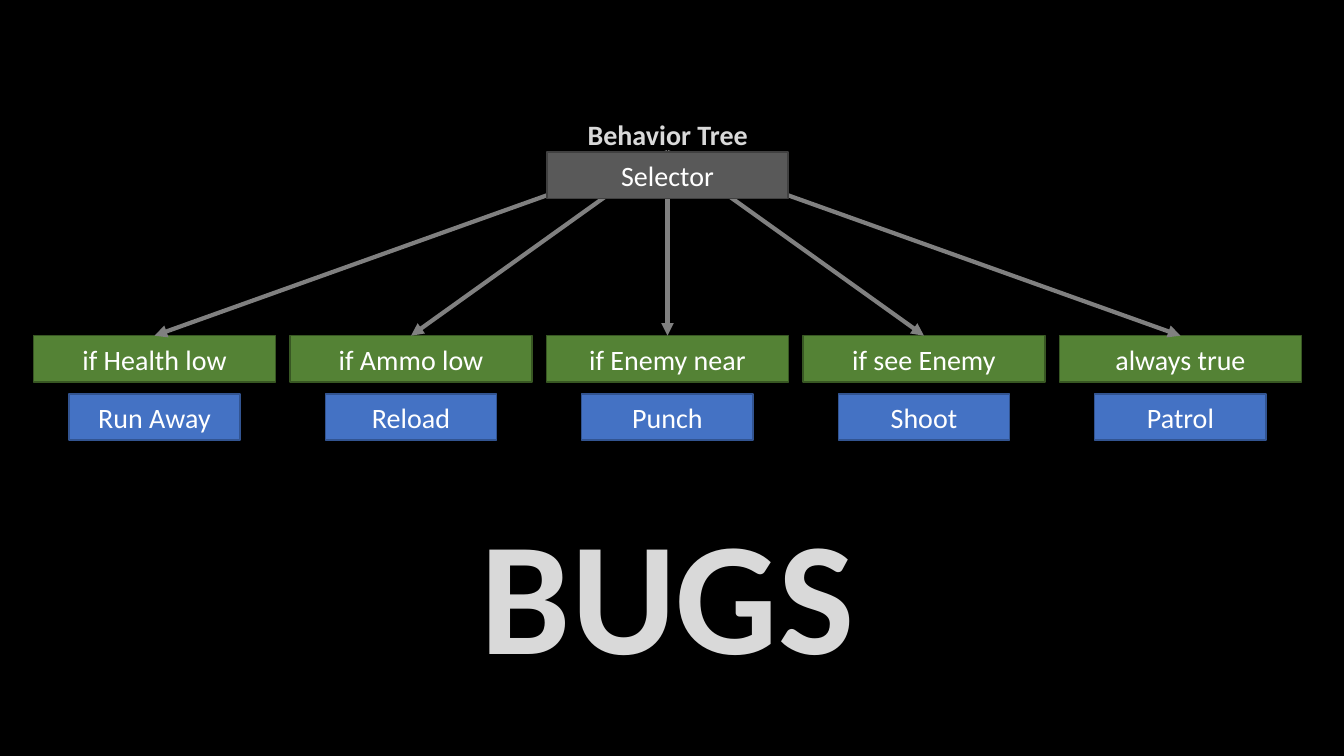
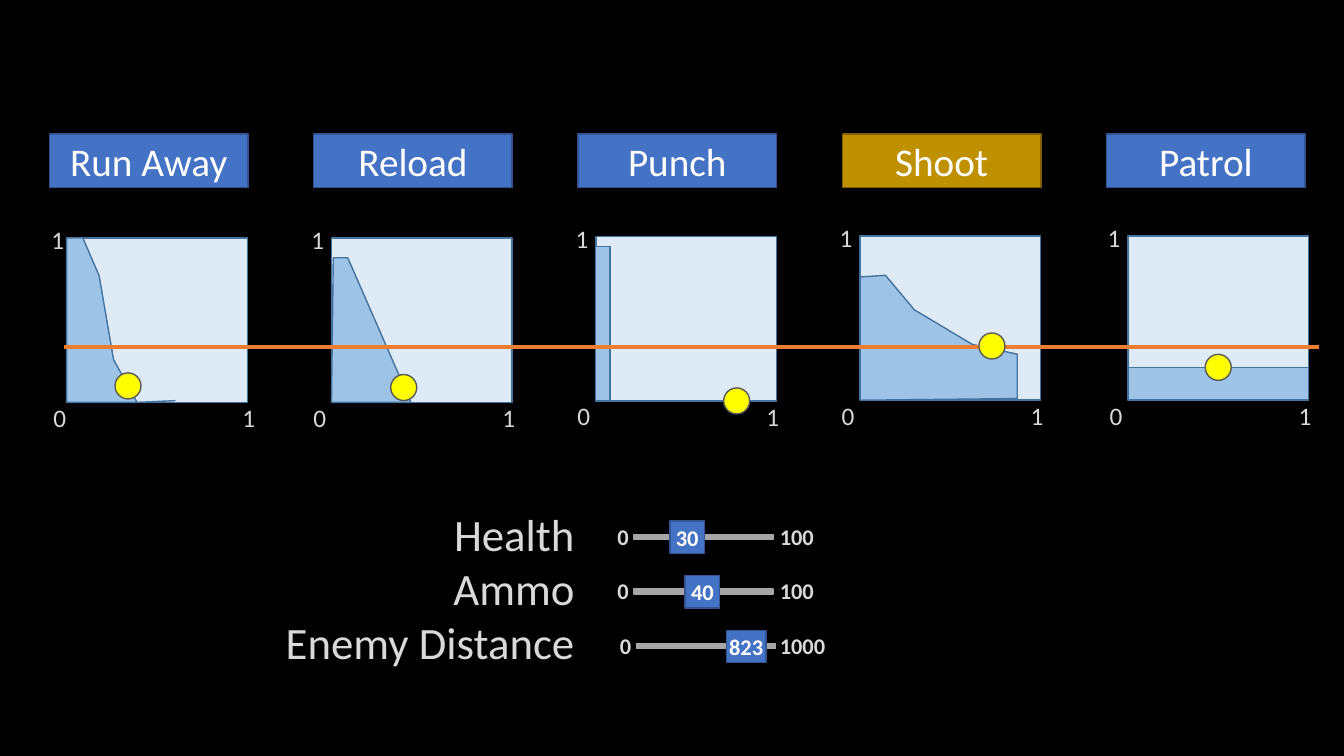
from lxml import etree
from pptx import Presentation
from pptx.dml.color import RGBColor
from pptx.enum.shapes import MSO_CONNECTOR, MSO_SHAPE
from pptx.enum.text import MSO_ANCHOR, MSO_AUTO_SIZE, PP_ALIGN
from pptx.oxml.ns import qn
from pptx.util import Pt

RECTANGLE, OVAL = MSO_SHAPE.RECTANGLE, MSO_SHAPE.OVAL
STRAIGHT = MSO_CONNECTOR.STRAIGHT
LEFT, CENTER, RIGHT = PP_ALIGN.LEFT, PP_ALIGN.CENTER, PP_ALIGN.RIGHT
TOP, MIDDLE = MSO_ANCHOR.TOP, MSO_ANCHOR.MIDDLE
TITLE_ONLY, BLANK = 5, 6

FONT = "Calibri"
BLACK, WHITE, LIGHT = "000000", "FFFFFF", "D9D9D9"
# Fill and outline pairs
ACTION = ("4472C4", "325491")
CHOSEN = ("BF9000", "806000")
CONDITION = ("548235", "385723")
SELECTOR = ("595959", "404040")
PLOT = ("DEEBF7", "43739E")
CURVE = ("9DC3E6", "43739E")
DOT = ("FFFF00", "595959")
TRACK = ("A6A6A6", "A6A6A6")
ARROW, THRESHOLD = "808080", "ED7D31"

ACTIONS = ["Run Away", "Reload", "Punch", "Shoot", "Patrol"]


def color(value):
    return RGBColor.from_string(value)


def write(frame, text, size=20, ink=WHITE, bold=False, align=CENTER,
          anchor=MIDDLE, wrap=True, margin=None):
    """Fill a text frame, one paragraph per line of text."""
    frame.auto_size = MSO_AUTO_SIZE.NONE
    frame.word_wrap = wrap
    frame.vertical_anchor = anchor
    if margin is not None:
        frame.margin_left = frame.margin_right = Pt(margin)
        frame.margin_top = frame.margin_bottom = Pt(margin)
    frame.text = text
    for paragraph in frame.paragraphs:
        paragraph.alignment = align
        font = paragraph.font
        font.name, font.size, font.bold = FONT, Pt(size), bold
        font.color.rgb = color(ink)


class Deck:
    def __init__(self):
        self.presentation = Presentation()
        self.presentation.slide_width = Pt(960)
        self.presentation.slide_height = Pt(540)
        self.slide = None

    def add_slide(self, layout):
        layouts = self.presentation.slide_layouts
        self.slide = self.presentation.slides.add_slide(layouts[layout])
        background = self.slide.background.fill
        background.solid()
        background.fore_color.rgb = color(BLACK)

    def paint(self, shape, style):
        fill, outline = style
        shape.shadow.inherit = False
        shape.fill.solid()
        shape.fill.fore_color.rgb = color(fill)
        shape.line.color.rgb = color(outline)
        shape.line.width = Pt(1)
        return shape

    def title(self, text, x, y, width, height, **style):
        shape = self.slide.shapes.title
        shape.left, shape.top = Pt(x), Pt(y)
        shape.width, shape.height = Pt(width), Pt(height)
        write(shape.text_frame, text, anchor=TOP, **style)

    def box(self, x, y, width, height, style, text="", kind=RECTANGLE, **text_style):
        shape = self.slide.shapes.add_shape(kind, Pt(x), Pt(y), Pt(width), Pt(height))
        if text:
            write(shape.text_frame, text, **text_style)
        return self.paint(shape, style)

    def label(self, text, x, y, width, height, **style):
        shape = self.slide.shapes.add_textbox(Pt(x), Pt(y), Pt(width), Pt(height))
        write(shape.text_frame, text, ink=LIGHT, anchor=TOP, **style)

    def outline(self, points, style):
        points = [(Pt(x), Pt(y)) for x, y in points]
        builder = self.slide.shapes.build_freeform(*points[0])
        builder.add_line_segments(points[1:], close=True)
        self.paint(builder.convert_to_shape(), style)

    def line(self, x1, y1, x2, y2, ink):
        connector = self.slide.shapes.add_connector(
            STRAIGHT, Pt(x1), Pt(y1), Pt(x2), Pt(y2))
        connector.line.color.rgb = color(ink)
        connector.line.width = Pt(3)
        etree.SubElement(connector._element.spPr, qn("a:effectLst"))
        return connector

    def arrow(self, start, end, ink):
        """Arrow from the top middle of one shape to that of another."""
        connector = self.line(0, 0, 0, 0, ink)
        connector.begin_connect(start, 0)
        connector.end_connect(end, 0)
        line = connector.line._get_or_add_ln()
        etree.SubElement(line, qn("a:tailEnd"), type="triangle")

    def bring_to_front(self, shape):
        self.slide.shapes._spTree.append(shape._element)


def behavior_tree(deck):
    deck.add_slide(TITLE_ONLY)
    deck.title("Behavior Tree", 344, 80, 266, 32, ink=LIGHT, bold=True)
    selector = deck.box(390.8, 108.7, 172, 33, SELECTOR, "Selector")

    # Branches: a condition with its action below
    conditions = ["if Health low", "if Ammo low", "if Enemy near",
                  "if see Enemy", "always true"]
    for index, (condition, action) in enumerate(zip(conditions, ACTIONS)):
        x = 24 + 183.2 * index
        branch = deck.box(x, 239.8, 172.8, 33, CONDITION, condition)
        deck.box(x + 25.2, 281.4, 122.4, 33, ACTION, action)
        deck.arrow(selector, branch, ARROW)
    deck.bring_to_front(selector)

    deck.label("BUGS", 334.8, 349.2, 284.4, 147, size=115, bold=True, wrap=False)


def utility_scores(deck):
    deck.add_slide(BLANK)
    plot_width, plot_height = 129, 117.4

    # Per action: plot left and top, labels left, score curve, current point.
    # Curve points and current points run from 0 to 1 on both axes.
    plots = [
        (47.6, 170, 31, [(0, 0), (0, 1), (0.09, 1), (0.18, 0.77), (0.26, 0.26),
                         (0.39, 0), (0.6, 0.01), (0.39, 0)], (0.34, 0.1)),
        (236.8, 170, 216.7, [(0, 0), (0.01, 0.88), (0.09, 0.88), (0.44, 0)],
         (0.4, 0.09)),
        (425.6, 169, 405.4, (0.08, 0.94), (0.78, 0)),
        (614.4, 168.5, 594, [(0, 0), (0, 0.75), (0.14, 0.76), (0.3, 0.55),
                             (0.62, 0.34), (0.87, 0.28), (0.87, 0.01)],
         (0.73, 0.33)),
        (805.7, 168.5, 785.5, (1, 0.2), (0.5, 0.2)),
    ]

    def place(left, top, point):
        return left + point[0] * plot_width, top + (1 - point[1]) * plot_height

    for index, (left, top, label_x, curve, _) in enumerate(plots):
        action = ACTIONS[index]
        deck.box(35.3 + 188.8 * index, 95.8, 141.8, 38.2,
                 CHOSEN if action == "Shoot" else ACTION, action, size=28)
        deck.box(left, top, plot_width, plot_height, PLOT)
        if isinstance(curve, list):
            deck.outline([place(left, top, point) for point in curve], CURVE)
        else:
            _, curve_top = place(left, top, curve)
            deck.box(left, curve_top, curve[0] * plot_width,
                     curve[1] * plot_height, CURVE)
        for text, dx, dy in [("1", -1.4, -13.2), ("0", 0, 113.6), ("1", 135, 114)]:
            deck.label(text, label_x + dx, top + dy, 24, 29, size=18,
                       align=LEFT, wrap=False)

    # Winning score and current points
    deck.line(942.5, 247.6, 46, 247.6, THRESHOLD)
    for left, top, _, _, point in plots:
        x, y = place(left, top, point)
        deck.box(x - 9.3, y - 9.3, 18.6, 18.6, DOT, kind=OVAL)

    # Inputs: track left, knob left and width, value, maximum
    deck.label("Health\nAmmo\nEnemy Distance", 194.4, 358.6, 223.2, 124,
               size=32, align=RIGHT, wrap=False)
    sliders = [(452.8, 478.6, 24.6, "30", "100"),
               (452.8, 489.4, 24.6, "40", "100"),
               (454.6, 518.8, 28.4, "823", "1000")]
    for index, (track, knob, knob_width, value, maximum) in enumerate(sliders):
        y = 370 + 39 * index
        deck.box(track, y + 11.6, 99.4, 3.6, TRACK)
        deck.box(knob, y + 2.2, knob_width, 23, ACTION, value, size=16,
                 bold=True, wrap=False, margin=0)
        for text, x in [("0", track - 18.8), (maximum, 550)]:
            deck.label(text, x, y, 52, 26.6, size=16, bold=True, align=LEFT)


def main():
    deck = Deck()
    behavior_tree(deck)
    utility_scores(deck)
    deck.presentation.save("out.pptx")


if __name__ == "__main__":
    main()
